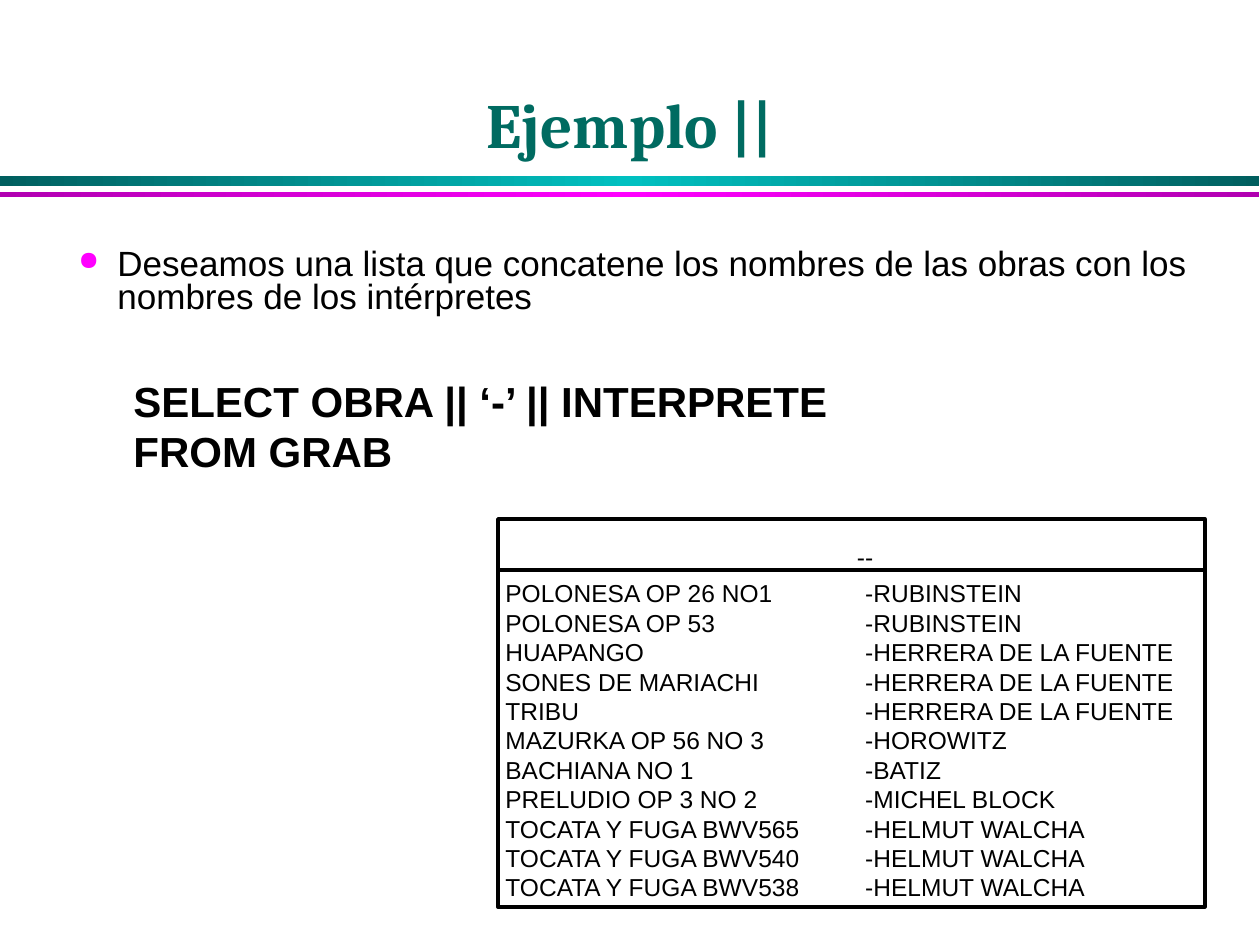
import copy

import pptx
import pptx.dml.color
import pptx.enum.dml
import pptx.enum.shapes
import pptx.enum.text
import pptx.oxml
import pptx.oxml.ns
import pptx.util

PX = 914400 / 126  # EMU in one px

THEME = {
    "title": {"size": 36, "name": "Cambria", "bold": True, "color": "006B61"},
    "body": {"size": 20, "name": "Arial", "bold": False, "color": "000000"},
    "query": {"size": 24, "name": "Arial", "bold": True, "color": "000000"},
    "result": {"size": 14, "name": "Arial", "bold": False, "color": "000000"},
    "teal_band": ("005F5F", "00C0C0", "005F5F"),
    "magenta_band": ("B100B1", "FF00FF", "B100B1"),
    "bullet": "FF00FF",
    "frame": "000000",
    "paper": "FFFFFF",
}

QUERY = ["SELECT OBRA || ‘-’ || INTERPRETE", "FROM GRAB"]
RECORDINGS = [
    ("POLONESA OP 26 NO1", "RUBINSTEIN"),
    ("POLONESA OP 53", "RUBINSTEIN"),
    ("HUAPANGO", "HERRERA DE LA FUENTE"),
    ("SONES DE MARIACHI", "HERRERA DE LA FUENTE"),
    ("TRIBU", "HERRERA DE LA FUENTE"),
    ("MAZURKA OP 56 NO 3", "HOROWITZ"),
    ("BACHIANA NO 1", "BATIZ"),
    ("PRELUDIO OP 3 NO 2", "MICHEL BLOCK"),
    ("TOCATA Y FUGA BWV565", "HELMUT WALCHA"),
    ("TOCATA Y FUGA BWV540", "HELMUT WALCHA"),
    ("TOCATA Y FUGA BWV538", "HELMUT WALCHA"),
]
RESULT_TABS = [(368, "r"), (420, "r"), (460, "l")]


def px(length):
    return pptx.util.Emu(round(length * PX))


def rgb(value):
    return pptx.dml.color.RGBColor.from_string(value)


def set_values(target, values):
    for name, value in values.items():
        setattr(target, name, value)


def add_element(parent, tag, **attributes):
    element = pptx.oxml.ns.qn(tag)
    child = parent.makeelement(element, attributes)
    parent.append(child)
    return child


def add_bullet(paragraph, indent):
    properties = paragraph._p.get_or_add_pPr()
    properties.set("marL", str(px(indent)))
    properties.set("indent", str(-px(indent)))
    color = add_element(properties, "a:buClr")
    add_element(color, "a:srgbClr", val=THEME["bullet"])
    add_element(properties, "a:buSzPct", val="75000")
    add_element(properties, "a:buChar", char="●")


def add_tabs(paragraph, tabs):
    tab_list = add_element(paragraph._p.get_or_add_pPr(), "a:tabLst")
    for position, alignment in tabs:
        add_element(tab_list, "a:tab", pos=str(px(position)), algn=alignment)


def write_paragraph(paragraph, text, style, **values):
    set_values(paragraph, values)
    run = paragraph.add_run()
    run.text = text
    font_values = dict(THEME[style])
    run.font.color.rgb = rgb(font_values.pop("color"))
    font_values["size"] = pptx.util.Pt(font_values["size"])
    set_values(run.font, font_values)


def add_text_box(slide, box, wrap=True):
    frame = slide.shapes.add_textbox(*map(px, box)).text_frame
    frame.word_wrap = wrap
    return frame


def next_paragraph(frame, index):
    return frame.add_paragraph() if index else frame.paragraphs[0]


def add_rectangle(slide, box):
    shape = slide.shapes.add_shape(
        pptx.enum.shapes.MSO_SHAPE.RECTANGLE, *map(px, box))
    shape.shadow.inherit = False
    return shape


def add_band(slide, box, colors):
    shape = add_rectangle(slide, box)
    shape.line.fill.background()
    shape.fill.gradient()
    shape.fill.gradient_angle = 0
    # A new gradient has two stops; the middle one is a third
    stop_list = shape._element.spPr.find(".//" + pptx.oxml.ns.qn("a:gsLst"))
    stop_list.append(copy.deepcopy(stop_list[0]))
    for index, (stop, color) in enumerate(zip(shape.fill.gradient_stops, colors)):
        stop.position = index / (len(colors) - 1)
        stop.color.rgb = rgb(color)


def format_line(line):
    line.color.rgb = rgb(THEME["frame"])
    line.width = pptx.util.Pt(2)


def add_title(slide, text, box):
    title = slide.shapes.title
    set_values(title, dict(zip(("left", "top", "width", "height"), map(px, box))))
    set_values(title.text_frame, {
        "vertical_anchor": pptx.enum.text.MSO_ANCHOR.BOTTOM,
        "auto_size": pptx.enum.text.MSO_AUTO_SIZE.NONE,
        "word_wrap": True,
    })
    write_paragraph(title.text_frame.paragraphs[0], text, "title",
                    alignment=pptx.enum.text.PP_ALIGN.CENTER, line_spacing=0.9)


def add_result(slide):
    # Framed sheet
    sheet = add_rectangle(slide, (498, 519, 707, 388))
    sheet.fill.solid()
    sheet.fill.fore_color.rgb = rgb(THEME["paper"])
    format_line(sheet.line)

    # Heading and rows, aligned by tab stops
    frame = add_text_box(slide, (493, 528, 713, 380))
    lines = ["\t--"] + [f"{work}\t-\t{artist}" for work, artist in RECORDINGS]
    for index, line in enumerate(lines):
        paragraph = next_paragraph(frame, index)
        add_tabs(paragraph, RESULT_TABS)
        write_paragraph(paragraph, line, "result",
                        line_spacing=1.25 if index < 2 else 1.0)

    # Rule below the heading
    rule = slide.shapes.add_connector(
        pptx.enum.shapes.MSO_CONNECTOR.STRAIGHT, *map(px, (497, 570, 1206, 570)))
    format_line(rule.line)
    add_element(rule._element.spPr, "a:effectLst")


def main():
    presentation = pptx.Presentation()
    presentation.slide_width = px(1260)
    presentation.slide_height = px(945)
    slide = presentation.slides.add_slide(presentation.slide_layouts[5])

    # Title and the bands below it
    add_band(slide, (0, 176, 1259, 10), THEME["teal_band"])
    add_band(slide, (0, 192, 1259, 5), THEME["magenta_band"])
    add_title(slide, "Ejemplo ||", (136, 10, 987, 158))

    # Task
    paragraph = add_text_box(slide, (66, 243, 1142, 84)).paragraphs[0]
    add_bullet(paragraph, 39)
    write_paragraph(
        paragraph,
        "Deseamos una lista que concatene los nombres de las obras "
        "con los nombres de los intérpretes",
        "body", line_spacing=0.8)

    # Query
    frame = add_text_box(slide, (121, 369, 723, 113), wrap=False)
    for index, line in enumerate(QUERY):
        write_paragraph(next_paragraph(frame, index), line, "query")

    add_result(slide)
    presentation.save("out.pptx")


if __name__ == "__main__":
    main()
